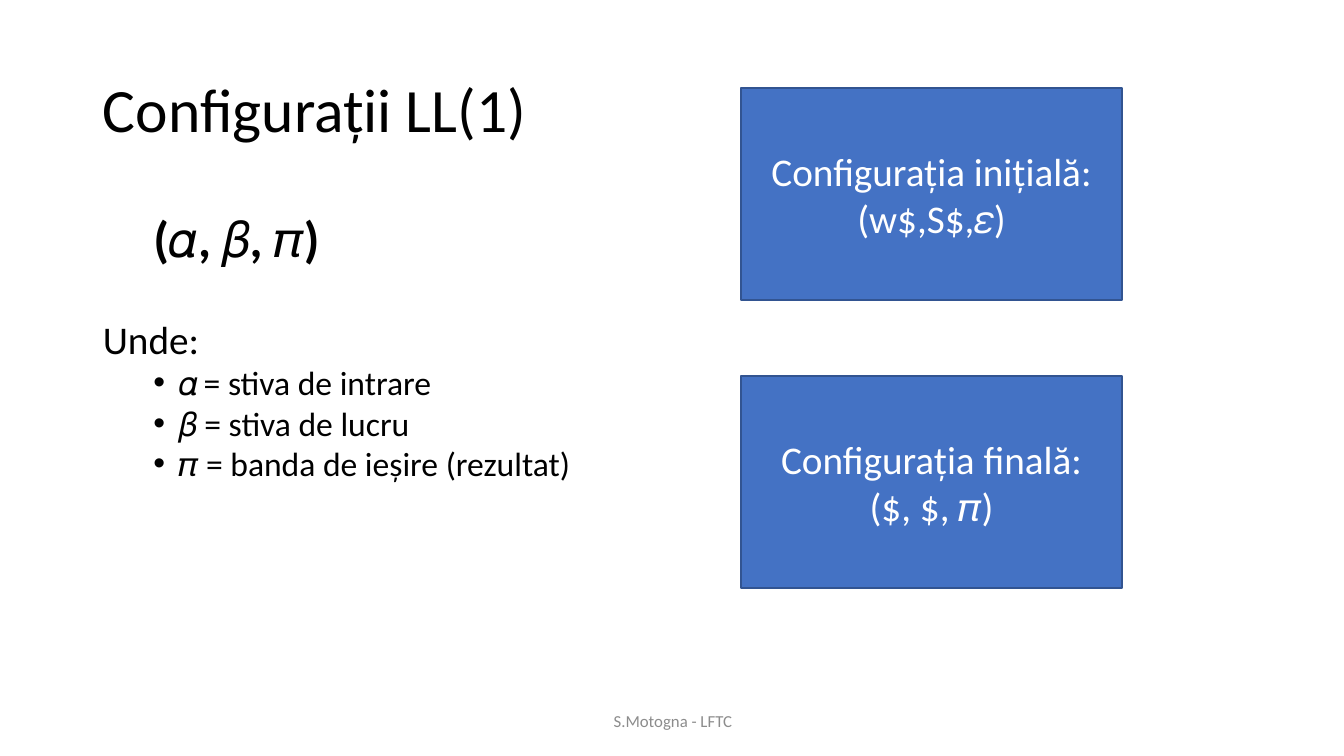
from pptx import Presentation, util as u
from pptx.dml.color import RGBColor
from pptx.enum import shapes, text
from pptx.oxml import parse_xml
from pptx.oxml.ns import nsdecls

PX = 914400 / 100.8
COLORS = {"ink": "000000", "white": "FFFFFF", "grey": "8C8C8C",
          "blue": "4472C4", "edge": "325491"}


def px(*nums):
    return [u.Emu(round(n * PX)) for n in nums]


def hue(name):
    return RGBColor.from_string(COLORS[name])


class Deck:
    def __init__(self, width, height):
        self.prs = Presentation()
        self.prs.slide_width, self.prs.slide_height = px(width, height)
        self.slide = self.prs.slides.add_slide(self.prs.slide_layouts[6])
        self.font = "Calibri"

    def fill(self, frame, lines, anchor="TOP", color="ink"):
        """Write lines given as (text, size, format) into a frame."""
        frame.word_wrap = True
        frame.vertical_anchor = getattr(text.MSO_ANCHOR, anchor)
        for i, (words, size, form) in enumerate(lines):
            para = frame.paragraphs[0] if i == 0 else frame.add_paragraph()
            run = para.add_run()
            run.text = words
            style = {"name": self.font, "size": u.Pt(size), "bold": form.get("bold", False)}
            for key, val in style.items():
                setattr(run.font, key, val)
            run.font.color.rgb = hue(color)
            for key, val in form.get("para", {}).items():
                setattr(para, key, val)
            if form.get("bullet"):
                self.bullet(para)

    def bullet(self, para):
        props = para._p.get_or_add_pPr()
        props.set("marL", str(u.Inches(0.75)))
        props.set("indent", str(-u.Inches(0.25)))
        props.append(parse_xml(f'<a:buFont {nsdecls("a")} typeface="Arial"/>'))
        props.append(parse_xml(f'<a:buChar {nsdecls("a")} char="•"/>'))

    def label(self, area, lines, **look):
        box = self.slide.shapes.add_textbox(*px(*area))
        self.fill(box.text_frame, lines, **look)

    def panel(self, area, lines):
        box = self.slide.shapes.add_shape(shapes.MSO_SHAPE.RECTANGLE, *px(*area))
        box.shadow.inherit = False
        box.fill.solid()
        box.fill.fore_color.rgb = hue("blue")
        box.line.color.rgb = hue("edge")
        box.line.width = u.Pt(1)
        self.fill(box.text_frame, lines, anchor="MIDDLE", color="white")


def main():
    deck = Deck(1344, 756)
    mid = {"para": {"alignment": text.PP_ALIGN.CENTER}}
    dot = {"bullet": True}

    # Title
    deck.label((93, 40, 1159, 146),
               [("Configurații LL(1)", 44, {"para": {"line_spacing": 0.9}})],
               anchor="MIDDLE")

    # Triple and its parts
    parts = ["𝛼\t= stiva de intrare", "𝛽 = stiva de lucru",
             "𝜋 = banda de ieșire (rezultat)"]
    deck.label((93, 202, 1159, 480), [
        ("\t(𝛼, 𝛽, 𝜋)", 36, {"bold": True}),
        ("Unde:", 28, {"para": {"space_before": u.Pt(34)}}),
        *[(part, 24, dot) for part in parts],
    ])

    # Footer
    deck.label((446, 701, 454, 40), [("S.Motogna - LFTC", 12, mid)],
               anchor="MIDDLE", color="grey")

    # First and last configuration
    panels = [("Configurația inițială:", "(w$,S$,𝜀)"),
              ("Configurația finală:", "($, $, 𝜋)")]
    for i, lines in enumerate(panels):
        deck.panel((741, 88 + 288 * i, 381, 212),
                   [(line, 28, mid) for line in lines])

    deck.prs.save("out.pptx")


if __name__ == "__main__":
    main()
